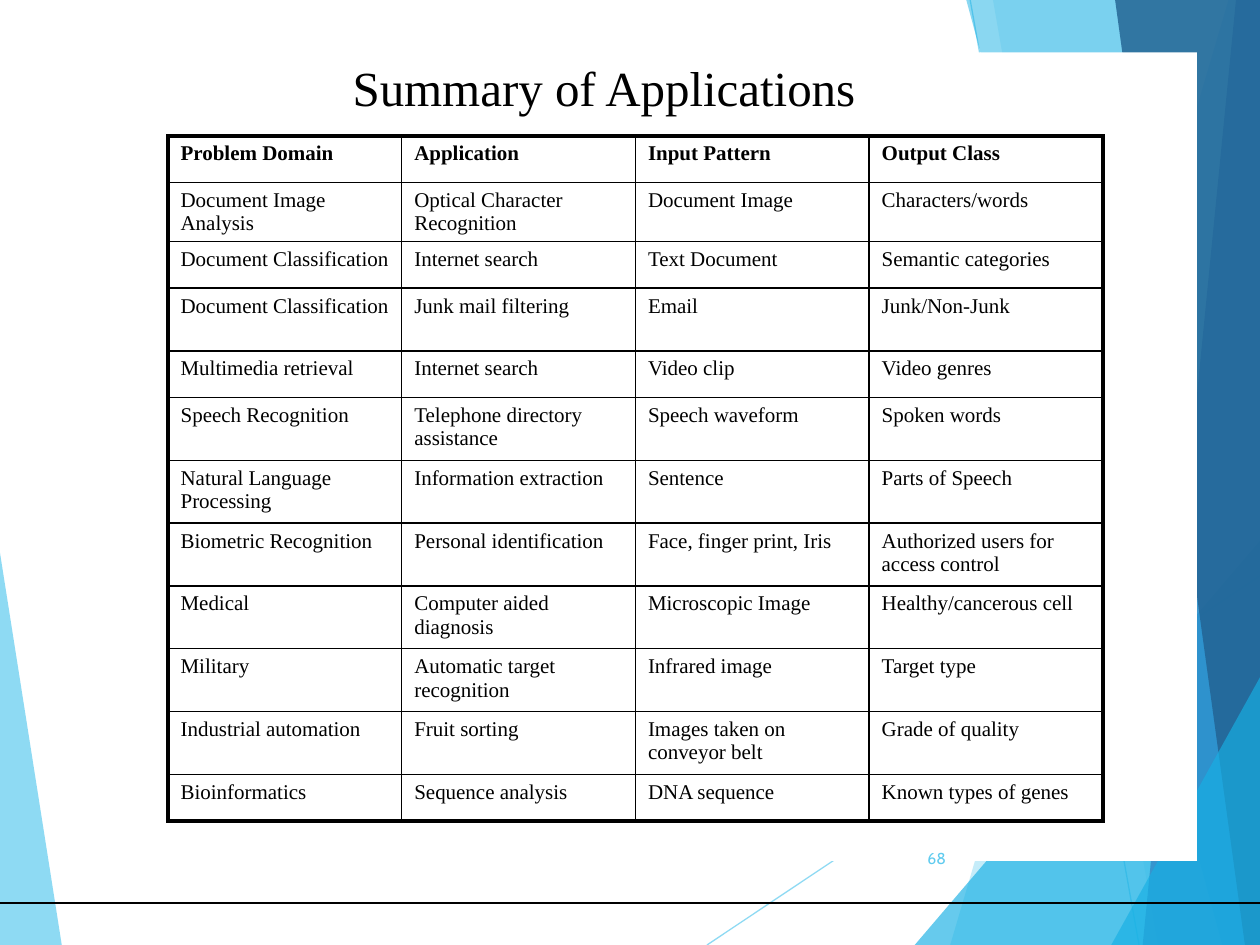
from lxml import etree
from pptx import Presentation
from pptx.dml.color import RGBColor
from pptx.enum import shapes, text
from pptx.oxml.ns import qn
from pptx.util import Pt

COLORS = {"black": "000000", "white": "FFFFFF", "sky": "5FCBEF",
          "cyan": "17B0E4", "blue": "2E83C3", "navy": "226292"}
SERIF = "Times New Roman"
WIDTH, HEIGHT = 720, 540

TITLE = "Summary of Applications"
PAGE_NUMBER = "68"
ROWS = [
    ("Problem Domain", "Application", "Input Pattern", "Output Class"),
    ("Document Image Analysis", "Optical Character Recognition",
     "Document Image", "Characters/words"),
    ("Document Classification", "Internet search", "Text Document",
     "Semantic categories"),
    ("Document Classification", "Junk mail filtering", "Email",
     "Junk/Non-Junk"),
    ("Multimedia retrieval", "Internet search", "Video clip", "Video genres"),
    ("Speech Recognition", "Telephone directory assistance",
     "Speech waveform", "Spoken words"),
    ("Natural Language Processing", "Information extraction", "Sentence",
     "Parts of Speech"),
    ("Biometric Recognition", "Personal identification",
     "Face, finger print, Iris", "Authorized users for access control"),
    ("Medical", "Computer aided diagnosis", "Microscopic Image",
     "Healthy/cancerous cell"),
    ("Military", "Automatic target recognition", "Infrared image",
     "Target type"),
    ("Industrial automation", "Fruit sorting",
     "Images taken on conveyor belt", "Grade of quality"),
    ("Bioinformatics", "Sequence analysis", "DNA sequence",
     "Known types of genes"),
]
SHORT_ROWS = {0, 1, 2, 4, 11}
SHORT, TALL, COLUMN = 26.6, 35.9, 133.55
TABLE_LEFT, TABLE_TOP = 96, 77.6

# Backdrop, from back to front: colour, opacity in percent, corner points
LEFT_FACET = ("sky", 70, [(0, 316), (35.3, HEIGHT), (0, HEIGHT)])
RAYS = [((404, HEIGHT), (WIDTH, 329)), ((554.4, 0), (650.9, HEIGHT))]
RIGHT_FACETS = [
    ("sky", 36, [(702, 0), (543, HEIGHT), (WIDTH, HEIGHT), (WIDTH, 0)]),
    ("sky", 20, [(567.4, 0), (661.7, HEIGHT), (WIDTH, HEIGHT), (WIDTH, 0)]),
    ("cyan", 66, [(522.7, HEIGHT), (WIDTH, 309), (WIDTH, HEIGHT)]),
    ("cyan", 50, [(552.2, 0), (698.4, HEIGHT), (WIDTH, HEIGHT), (WIDTH, 0)]),
    ("blue", 70, [(706.3, 0), (653, HEIGHT), (WIDTH, HEIGHT), (WIDTH, 0)]),
    ("navy", 82, [(637.2, 0), (711.4, HEIGHT), (WIDTH, HEIGHT), (WIDTH, 0)]),
    ("cyan", 66, [(635, HEIGHT), (WIDTH, 387), (WIDTH, HEIGHT)]),
]


def paint(fill, color, opacity=100):
    fill.solid()
    fill.fore_color.rgb = RGBColor.from_string(COLORS[color])
    if opacity < 100:
        for tint in fill._xPr.iter(qn("a:srgbClr")):
            etree.SubElement(tint, qn("a:alpha"), val=str(opacity * 1000))


def add_facet(page, color, opacity, points):
    corners = [(Pt(x), Pt(y)) for x, y in points]
    builder = page.shapes.build_freeform(*corners[0])
    builder.add_line_segments(corners[1:], close=True)
    facet = builder.convert_to_shape()
    facet.shadow.inherit = False
    facet.line.fill.background()
    paint(facet.fill, color, opacity)


def add_line(page, start, end, color, opacity=100):
    line = page.shapes.add_connector(
        shapes.MSO_CONNECTOR.STRAIGHT, *(Pt(v) for v in start + end))
    line.line.width = Pt(0.75)
    paint(line.line.fill, color, opacity)
    etree.SubElement(line._element.spPr, qn("a:effectLst"))


def write(frame, words, size=12, font=SERIF, color="black", bold=False,
          align=text.PP_ALIGN.LEFT):
    para = frame.paragraphs[0]
    para.alignment = align
    span = para.add_run()
    span.text = words
    span.font.size, span.font.name, span.font.bold = Pt(size), font, bold
    span.font.color.rgb = RGBColor.from_string(COLORS[color])


def set_borders(cell, **widths):
    properties = cell._tc.get_or_add_tcPr()
    for side in "LRTB":
        edge = etree.SubElement(properties, qn(f"a:ln{side}"),
                                w=str(Pt(widths[side])))
        solid = etree.SubElement(edge, qn("a:solidFill"))
        etree.SubElement(solid, qn("a:srgbClr"), val=COLORS["black"])


def add_applications(page):
    heights = [SHORT if i in SHORT_ROWS else TALL for i in range(len(ROWS))]
    last_row, last_column = len(ROWS) - 1, len(ROWS[0]) - 1
    table = page.shapes.add_table(
        len(ROWS), len(ROWS[0]), Pt(TABLE_LEFT), Pt(TABLE_TOP),
        Pt(COLUMN * len(ROWS[0])), Pt(sum(heights))).table
    table.first_row = table.horz_banding = False
    for column in table.columns:
        column.width = Pt(COLUMN)
    for r, (row, height) in enumerate(zip(ROWS, heights)):
        table.rows[r].height = Pt(height)
        for c, words in enumerate(row):
            cell = table.cell(r, c)
            write(cell.text_frame, words, bold=r == 0)
            outer = {"L": c == 0, "R": c == last_column,
                     "T": r == 0, "B": r == last_row}
            set_borders(cell, **{side: 2.25 if edge else 1
                                 for side, edge in outer.items()})
            cell.fill.background()


def main():
    deck = Presentation()
    deck.slide_width, deck.slide_height = Pt(WIDTH), Pt(HEIGHT)
    page = deck.slides.add_slide(deck.slide_layouts[6])

    # Backdrop
    add_facet(page, *LEFT_FACET)
    for start, end in RAYS:
        add_line(page, start, end, "sky", 70)
    for facet in RIGHT_FACETS:
        add_facet(page, *facet)
    add_line(page, (0, 516), (WIDTH, 516), "black")

    # White panel
    panel = page.shapes.add_shape(shapes.MSO_SHAPE.RECTANGLE,
                                  Pt(36), Pt(30), Pt(648), Pt(462))
    panel.shadow.inherit = False
    panel.line.fill.background()
    paint(panel.fill, "white")

    # Table, title and page number
    add_applications(page)
    title = page.shapes.add_textbox(Pt(194.4), Pt(29.5), Pt(304), Pt(41))
    title.text_frame.word_wrap = False
    write(title.text_frame, TITLE, size=28)
    number = page.shapes.add_textbox(Pt(507.6), Pt(476), Pt(40), Pt(28.8))
    number.text_frame.word_wrap = True
    number.text_frame.vertical_anchor = text.MSO_ANCHOR.MIDDLE
    write(number.text_frame, PAGE_NUMBER, size=9, font="Cabin", color="sky",
          align=text.PP_ALIGN.RIGHT)

    deck.save("out.pptx")


if __name__ == "__main__":
    main()
